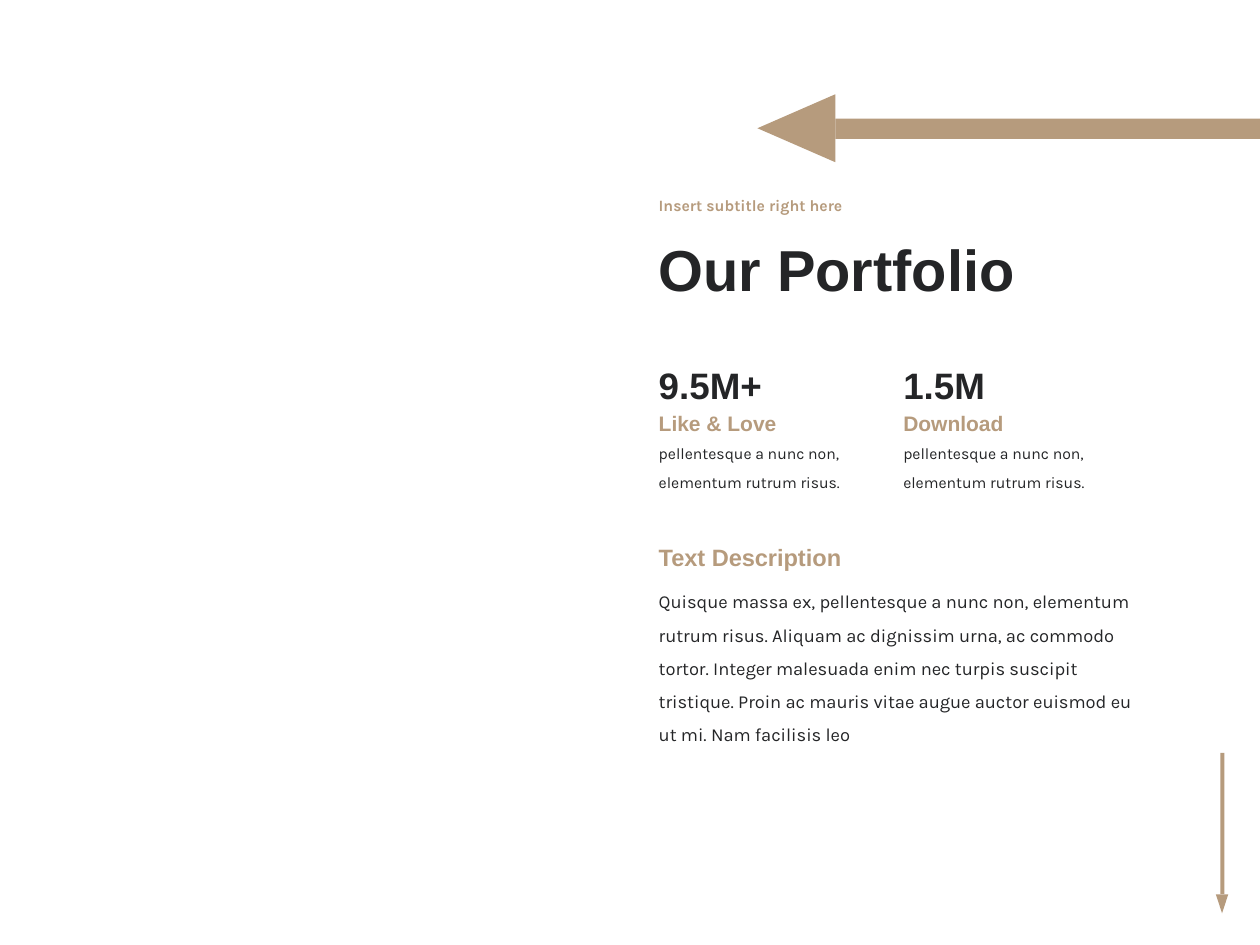
from pptx import Presentation
from pptx.dml.color import RGBColor
from pptx.enum.shapes import MSO_SHAPE as Preset
from pptx.enum.text import MSO_ANCHOR as Anchor
from pptx.util import Cm, Pt

COLORS = {"paper": "FFFFFF", "ink": "242527", "tan": "B69B7D"}
HEADING, BODY = "Arial", "Karla"
LEFT = 13.03
COLUMN_STEP = 4.93
STATS = [("9.5M+", "Like & Love"), ("1.5M", "Download")]
STAT_TEXT = "pellentesque a nunc non, elementum rutrum risus."
DESCRIPTION = (
    "Quisque massa ex, pellentesque a nunc non, elementum rutrum risus. "
    "Aliquam ac dignissim urna, ac commodo tortor. Integer malesuada enim nec "
    "turpis suscipit tristique. Proin ac mauris vitae augue auctor euismod eu "
    "ut mi. Nam facilisis leo"
)


def color(name):
    """Return the named palette colour."""
    return RGBColor.from_string(COLORS[name])


def add_block(page, preset, area, rotation):
    """Add a tan shape without outline, turned by rotation degrees."""
    block = page.shapes.add_shape(preset, *map(Cm, area))
    block.rotation = rotation
    block.shadow.inherit = False
    block.fill.solid()
    block.fill.fore_color.rgb = color("tan")
    block.line.fill.background()


def add_text(page, text, area, size, font, ink, bold=False, spacing=1.0, anchor=Anchor.TOP):
    """Add a wrapped text box holding one paragraph."""
    box = page.shapes.add_textbox(*map(Cm, area))
    frame = box.text_frame
    frame.word_wrap = True
    frame.vertical_anchor = anchor
    para = frame.paragraphs[0]
    para.text = text
    para.line_spacing = spacing
    para.font.size = Pt(size)
    para.font.name = font
    para.font.bold = bold
    para.font.color.rgb = color(ink)


def add_stat(page, left, number, label):
    """Add a figure with its label and short text."""
    add_text(page, STAT_TEXT, (left, 8.64, 4.8, 1.35), 9, BODY, "ink", spacing=1.5)
    add_text(page, label, (left, 8.15, 3.81, 0.76), 12, HEADING, "tan", bold=True)
    add_text(page, number, (left, 7.19, 3.81, 1.14), 21, HEADING, "ink", bold=True)


def main():
    """Build the portfolio slide and save it."""
    deck = Presentation()
    deck.slide_width, deck.slide_height = Cm(25.4), Cm(19.05)
    page = deck.slides.add_slide(deck.slide_layouts[6])
    page.background.fill.solid()
    page.background.fill.fore_color.rgb = color("paper")

    add_block(page, Preset.RECTANGLE, (23.22, 16.56, 2.84, 0.08), 90)
    add_block(page, Preset.ISOSCELES_TRIANGLE, (24.51, 18.03, 0.25, 0.38), 180)

    add_text(page, "Our Portfolio", (LEFT, 4.19, 14.3, 2.62), 33, HEADING, "ink",
             bold=True, spacing=0.9, anchor=Anchor.MIDDLE)
    add_text(page, "Insert subtitle right here", (LEFT, 3.68, 14.3, 0.97), 9, BODY, "tan",
             bold=True, spacing=0.9, anchor=Anchor.MIDDLE)
    add_text(page, DESCRIPTION, (LEFT, 11.56, 10.16, 2.87), 10.5, BODY, "ink", spacing=1.5)
    add_text(page, "Text Description", (LEFT, 10.82, 5.56, 0.84), 13.5, HEADING, "tan",
             bold=True)
    for column, (number, label) in enumerate(STATS):
        add_stat(page, LEFT + column * COLUMN_STEP, number, label)

    add_block(page, Preset.RECTANGLE, (16.84, 2.39, 9.93, 0.41), 180)
    add_block(page, Preset.ISOSCELES_TRIANGLE, (15.37, 1.8, 1.37, 1.57), 270)
    deck.save("out.pptx")


if __name__ == "__main__":
    main()
